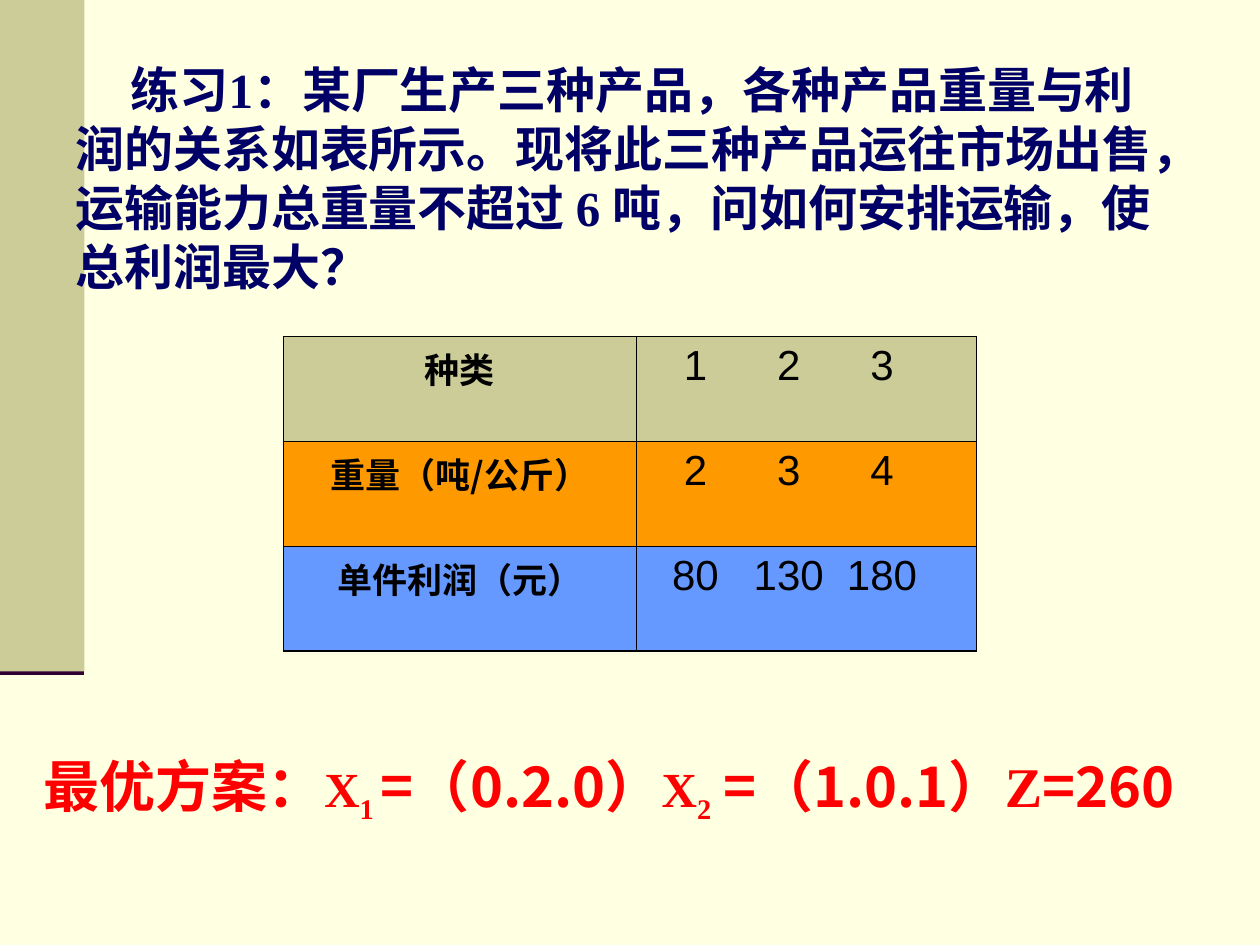
from lxml import etree
from pptx import Presentation, util as u
from pptx.dml.color import RGBColor
from pptx.enum import shapes, text
from pptx.oxml.ns import qn

C = dict(background="FFFFE1", band="CCCC99", rule="330033", navy="000066",
         red="FF0000", black="000000", orange="FF9900", blue="6699FF")
CJK, SERIF, SANS = "Noto Sans CJK SC", "Times New Roman", "Arial"

QUESTION = ("练习1：某厂生产三种产品，各种产品重量与利润的关系如表所示。"
            "现将此三种产品运往市场出售，运输能力总重量不超过 6 吨，"
            "问如何安排运输，使总利润最大？")
ROWS = [("种类", (1, 2, 3), "band"),
        ("重量（吨/公斤）", (2, 3, 4), "orange"),
        ("单件利润（元）", (80, 130, 180), "blue")]
COLUMNS = (2.8, 2.7)
# text, font, size, baseline shift
ANSWER = [("最优方案：", CJK, 32, 0),
          ("X", SERIF, 28, 0), ("1 ", SERIF, 28, -25), ("=（0.2.0）", CJK, 32, 0),
          ("X", SERIF, 28, 0), ("2", SERIF, 28, -25), (" =（1.0.1）", CJK, 32, 0),
          ("Z", SERIF, 32, 0), ("=260", CJK, 32, 0)]


def rgb(name):
    return RGBColor.from_string(C[name])


def add_run(p, content, font=CJK, size=20, color="black", bold=True, base=0):
    r = p.add_run()
    r.text = content
    r.font.name, r.font.size, r.font.bold = font, u.Pt(size), bold
    r.font.color.rgb = rgb(color)
    rpr = r._r.get_or_add_rPr()
    etree.SubElement(rpr, qn("a:ea"), typeface=CJK)
    if base:
        rpr.set("baseline", str(base * 1000))


def add_text_box(s, x, y, w, h, spacing):
    tf = s.shapes.add_textbox(*map(u.Inches, (x, y, w, h))).text_frame
    tf.word_wrap = True
    tf.auto_size = text.MSO_AUTO_SIZE.SHAPE_TO_FIT_TEXT
    p = tf.paragraphs[0]
    p.line_spacing = u.Pt(spacing)
    return p


def set_borders(cell, widths):
    """Draw the left, right, top and bottom borders, widths in points."""
    tcpr = cell._tc.get_or_add_tcPr()
    for i, (side, width) in enumerate(zip("LRTB", widths)):
        ln = etree.Element(qn(f"a:ln{side}"), w=str(u.Pt(width)))
        fill = etree.SubElement(ln, qn("a:solidFill"))
        etree.SubElement(fill, qn("a:srgbClr"), val=C["black"])
        tcpr.insert(i, ln)


def add_center_tabs(p, first, step, count):
    tabs = etree.SubElement(p._p.get_or_add_pPr(), qn("a:tabLst"))
    for i in range(count):
        etree.SubElement(tabs, qn("a:tab"), pos=str(u.Inches(first + i * step)), algn="ctr")


def add_side_band(s):
    line = s.shapes.add_connector(shapes.MSO_CONNECTOR.STRAIGHT, 0, u.Inches(5.33),
                                  u.Inches(0.67), u.Inches(5.33))
    line.line.color.rgb, line.line.width = rgb("rule"), u.Pt(3.5)
    etree.SubElement(line._element.spPr, qn("a:effectLst"))
    band = s.shapes.add_shape(shapes.MSO_SHAPE.RECTANGLE, 0, 0, u.Inches(0.67), u.Inches(5.33))
    band.shadow.inherit = False
    band.fill.solid()
    band.fill.fore_color.rgb = rgb("band")
    band.line.fill.background()


def add_product_table(s):
    table = s.shapes.add_table(len(ROWS), len(COLUMNS), *map(u.Inches, (2.25, 2.67, 5.5, 2.5))).table
    for column, width in zip(table.columns, COLUMNS):
        column.width = u.Inches(width)
    outer, inner = 1.08, 0.45
    for i, (label, values, color) in enumerate(ROWS):
        top = inner if i else outer
        bottom = outer if i == len(ROWS) - 1 else inner
        name, numbers = table.cell(i, 0), table.cell(i, 1)
        set_borders(name, (outer, inner, top, bottom))
        set_borders(numbers, (inner, outer, top, bottom))
        for cell in (name, numbers):
            cell.fill.solid()
            cell.fill.fore_color.rgb = rgb(color)
        p = name.text_frame.paragraphs[0]
        p.alignment = text.PP_ALIGN.CENTER
        add_run(p, label)
        p = numbers.text_frame.paragraphs[0]
        add_center_tabs(p, 0.37, 0.74, len(values))
        add_run(p, "".join(f"\t{v}" for v in values), font=SANS, size=24, bold=False)


def main():
    prs = Presentation()
    prs.slide_width, prs.slide_height = u.Inches(10), u.Inches(7.5)
    s = prs.slides.add_slide(prs.slide_layouts[6])
    s.background.fill.solid()
    s.background.fill.fore_color.rgb = rgb("background")
    add_side_band(s)

    p = add_text_box(s, 0.5, 0.42, 8.92, 1.97, 33.7)
    p._p.get_or_add_pPr().set("indent", str(u.Inches(0.44)))
    add_run(p, QUESTION, font=SERIF, size=28, color="navy")

    add_product_table(s)

    p = add_text_box(s, 0.25, 5.92, 9.42, 1.22, 42)
    for content, font, size, base in ANSWER:
        add_run(p, content, font=font, size=size, color="red", base=base)
    prs.save("out.pptx")


if __name__ == "__main__":
    main()
